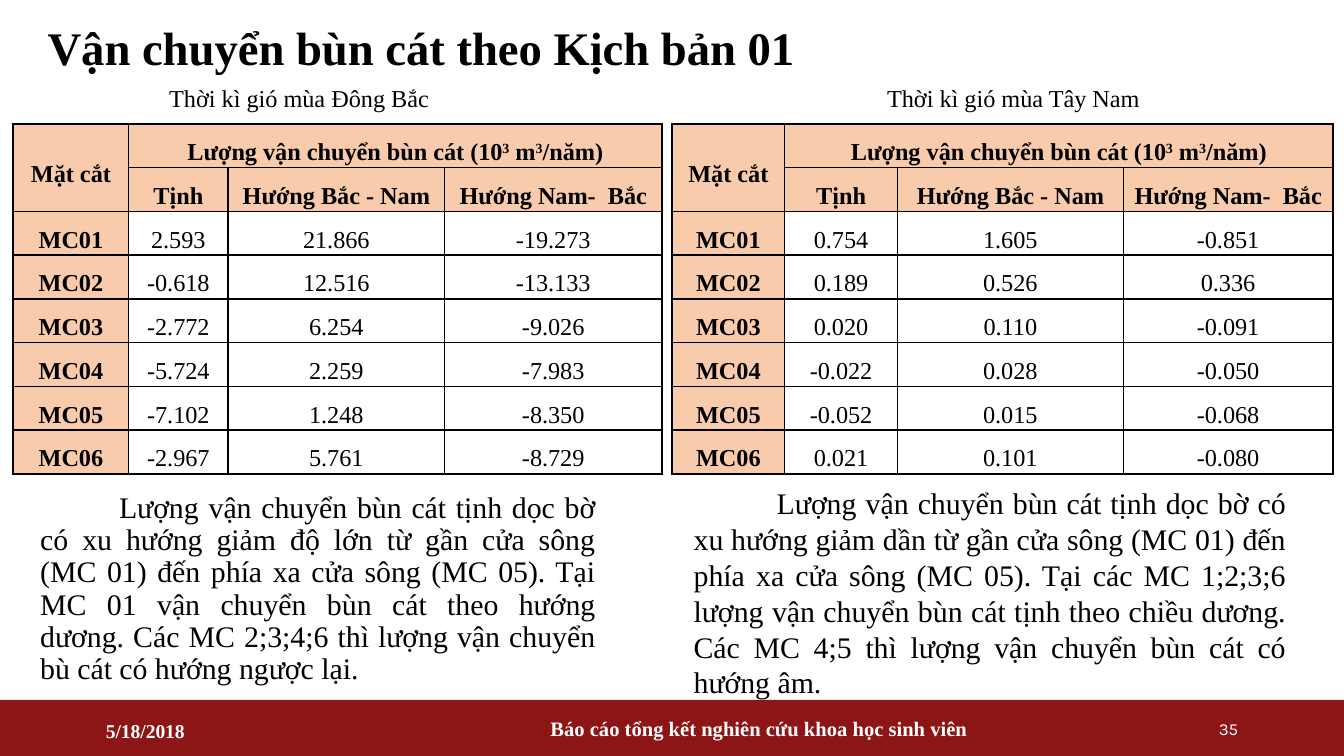
"""Builds the slide on sediment transport in scenario 01."""
from dataclasses import dataclass

from lxml import etree
from pptx import Presentation
from pptx import util as u
from pptx.dml.color import RGBColor
from pptx.enum import shapes, text
from pptx.oxml import ns


@dataclass(frozen=True)
class Theme:
    ink: str = "000000"
    paper: str = "FFFFFF"
    header: str = "F8CBAD"
    band: str = "8C1515"
    serif: str = "Times New Roman"
    sans: str = "Karla"
    title: float = 25
    body: float = 16
    table: float = 13
    footer: float = 11
    date: float = 10.5
    number: float = 9
    border: float = 1


THEME = Theme()
ALIGN = text.PP_ALIGN
ANCHOR = text.MSO_ANCHOR

UNIT_HEADING = [("Lượng vận chuyển bùn cát (10", False), ("3", True), (" m", False),
                ("3", True), ("/năm)", False)]
DIRECTIONS = ["Tịnh", "Hướng Bắc - Nam", "Hướng Nam-  Bắc"]

NORTHEAST = [
    ["2.593", "21.866", "-19.273"],
    ["-0.618", "12.516", "-13.133"],
    ["-2.772", "6.254", "-9.026"],
    ["-5.724", "2.259", "-7.983"],
    ["-7.102", "1.248", "-8.350"],
    ["-2.967", "5.761", "-8.729"],
]
SOUTHWEST = [
    ["0.754", "1.605", "-0.851"],
    ["0.189", "0.526", "0.336"],
    ["0.020", "0.110", "-0.091"],
    ["-0.022", "0.028", "-0.050"],
    ["-0.052", "0.015", "-0.068"],
    ["0.021", "0.101", "-0.080"],
]
NORTHEAST_REMARK = (
    "Lượng vận chuyển bùn cát tịnh dọc bờ có xu hướng giảm độ lớn từ gần cửa sông "
    "(MC 01) đến phía xa cửa sông (MC 05). Tại MC 01 vận chuyển bùn cát theo hướng "
    "dương. Các MC 2;3;4;6 thì lượng vận chuyển bù cát có hướng ngược lại."
)
SOUTHWEST_REMARK = (
    "Lượng vận chuyển bùn cát tịnh dọc bờ có xu hướng giảm dần từ gần cửa sông "
    "(MC 01) đến phía xa cửa sông (MC 05). Tại các MC 1;2;3;6 lượng vận chuyển bùn "
    "cát tịnh theo chiều dương. Các MC 4;5 thì lượng vận chuyển bùn cát có hướng âm."
)


def add_run(paragraph, wording, size, color=THEME.ink, bold=False, font=THEME.serif,
            raised=False):
    run = paragraph.add_run()
    run.text = wording
    run.font.name = font
    run.font.size = u.Pt(size)
    run.font.bold = bold
    run.font.color.rgb = RGBColor.from_string(color)
    if raised:
        run._r.get_or_add_rPr().set("baseline", "30000")


def add_label(slide, box, wording, size, align=ALIGN.LEFT, anchor=ANCHOR.MIDDLE,
              indent=0, spacing=None, side_inset=0.25, **run_style):
    frame = slide.shapes.add_textbox(*map(u.Cm, box)).text_frame
    frame.word_wrap = True
    frame.vertical_anchor = anchor
    frame.margin_left = frame.margin_right = u.Cm(side_inset)
    paragraph = frame.paragraphs[0]
    paragraph.alignment = align
    if spacing:
        paragraph.line_spacing = spacing
    if indent:
        paragraph._p.get_or_add_pPr().set("indent", str(int(u.Cm(indent))))
    add_run(paragraph, wording, size, **run_style)
    return frame


def add_borders(cell):
    properties = cell._tc.get_or_add_tcPr()
    for side in ("lnL", "lnR", "lnT", "lnB"):
        line = etree.SubElement(properties, ns.qn(f"a:{side}"),
                                w=str(int(u.Pt(THEME.border))))
        fill = etree.SubElement(line, ns.qn("a:solidFill"))
        etree.SubElement(fill, ns.qn("a:srgbClr"), val=THEME.ink)


def style_cell(cell, fill):
    add_borders(cell)
    cell.fill.solid()
    cell.fill.fore_color.rgb = RGBColor.from_string(fill)
    cell.vertical_anchor = ANCHOR.MIDDLE
    cell.margin_left = cell.margin_right = u.Cm(0.18)
    cell.margin_top = cell.margin_bottom = 0


def write_cell(cell, pieces, bold):
    paragraph = cell.text_frame.paragraphs[0]
    paragraph.alignment = ALIGN.CENTER
    paragraph.line_spacing = 1.5
    paragraph.space_after = u.Pt(6)
    for wording, raised in pieces:
        add_run(paragraph, wording, THEME.table, bold=bold, raised=raised)


def add_transport_table(slide, left, widths, season):
    sections = [[f"MC{number:02}", *values] for number, values in enumerate(season, 1)]
    rows = [["Mặt cắt", UNIT_HEADING, "", ""], ["", *DIRECTIONS], *sections]
    row_height = 0.75
    table = slide.shapes.add_table(
        len(rows), len(widths), u.Cm(left), u.Cm(2.34),
        u.Cm(sum(widths)), u.Cm(row_height * len(rows))).table
    table.first_row = table.horz_banding = False
    for column, width in zip(table.columns, widths):
        column.width = u.Cm(width)
    for r, row in enumerate(rows):
        table.rows[r].height = u.Cm(row_height)
        for c, content in enumerate(row):
            heading = r < 2 or c == 0
            cell = table.cell(r, c)
            style_cell(cell, THEME.header if heading else THEME.paper)
            if content:
                pieces = [(content, False)] if isinstance(content, str) else content
                write_cell(cell, pieces, heading)
    table.cell(0, 0).merge(table.cell(1, 0))
    table.cell(0, 1).merge(table.cell(0, 3))


def add_footer(slide):
    band = slide.shapes.add_shape(shapes.MSO_SHAPE.RECTANGLE, 0, u.Cm(13.23),
                                  u.Cm(25.4), u.Cm(1.06))
    band.shadow.inherit = False
    band.fill.solid()
    band.fill.fore_color.rgb = RGBColor.from_string(THEME.band)
    band.line.fill.background()
    add_label(slide, (1.75, 13.44, 3.15, 0.76), "5/18/2018", THEME.date,
              color=THEME.paper, bold=True)
    add_label(slide, (8.86, 13.39, 10.97, 0.76),
              "Báo cáo tổng kết nghiên cứu khoa học sinh viên", THEME.footer,
              align=ALIGN.CENTER, color=THEME.paper, bold=True)
    add_label(slide, (20.17, 13.39, 3.48, 0.76), "35", THEME.number,
              align=ALIGN.RIGHT, color=THEME.paper, font=THEME.sans)


def main():
    deck = Presentation()
    deck.slide_width, deck.slide_height = u.Cm(25.4), u.Cm(14.29)
    slide = deck.slides.add_slide(deck.slide_layouts[6])

    add_footer(slide)
    add_label(slide, (0, 0.36, 19.2, 1.27), "Vận chuyển bùn cát theo Kịch bản 01",
              THEME.title, anchor=ANCHOR.TOP, indent=0.65, spacing=0.9, bold=True)

    add_transport_table(slide, 0.25, [2.18, 1.88, 4.09, 4.11], NORTHEAST)
    add_transport_table(slide, 12.7, [2.13, 2.13, 4.27, 3.96], SOUTHWEST)
    for left, season in ((1.65, "Đông Bắc"), (15.15, "Tây Nam")):
        add_label(slide, (left, 1.45, 8, 0.8), f"Thời kì gió mùa {season}",
                  THEME.table, align=ALIGN.CENTER)

    add_label(slide, (0.51, 8.84, 11, 4.6), NORTHEAST_REMARK, THEME.body,
              align=ALIGN.JUSTIFY, indent=1.49, spacing=0.9)
    southwest = add_label(slide, (13.11, 8.84, 11.2, 4.39), SOUTHWEST_REMARK, THEME.body,
                          align=ALIGN.JUSTIFY, anchor=ANCHOR.BOTTOM, indent=1.57,
                          side_inset=0)
    southwest.margin_bottom = 0

    deck.save("out.pptx")


if __name__ == "__main__":
    main()
